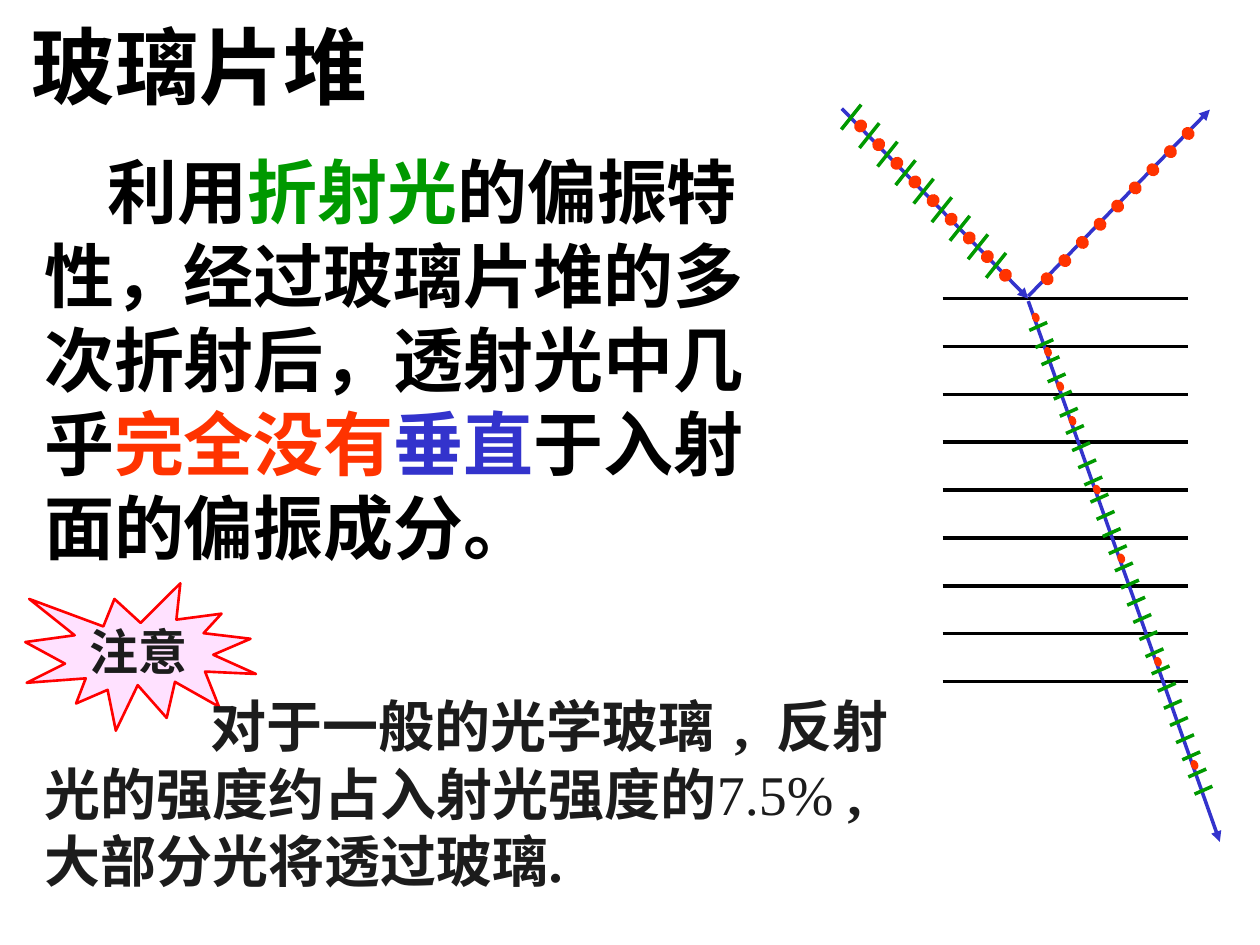
"""Build the slide on polarised light and a pile of glass plates."""
import dataclasses

import lxml.etree
import pptx
import pptx.dml.color
import pptx.enum.shapes
import pptx.enum.text
import pptx.oxml.ns
import pptx.util

Cm = pptx.util.Cm
Pt = pptx.util.Pt
Shape = pptx.enum.shapes.MSO_SHAPE
qn = pptx.oxml.ns.qn


@dataclasses.dataclass(frozen=True)
class Theme:
    """Colours, font and type sizes of the slide."""
    black: str = "000000"
    ink: str = "1C1C1C"
    green: str = "009900"
    orange: str = "FF3300"
    blue: str = "3333CC"
    red: str = "FF0000"
    pink: str = "FFE1FF"
    font: str = "Times New Roman"
    title: int = 48
    body: int = 40
    note: int = 32
    badge: int = 28
    line: float = 2
    edge: float = 1.5


THEME = Theme()


def tint(code):
    """Turn a hex code into a colour."""
    return pptx.dml.color.RGBColor.from_string(code)


def write(frame, runs, size, pad=(0.25, 0.13), indent=0, before=0):
    """Fill a frame with one paragraph of (text, colour, bold, spacing) runs."""
    frame.word_wrap = True
    frame.auto_size = pptx.enum.text.MSO_AUTO_SIZE.SHAPE_TO_FIT_TEXT
    frame.vertical_anchor = pptx.enum.text.MSO_ANCHOR.TOP
    frame.margin_left = frame.margin_right = Cm(pad[0])
    frame.margin_top = frame.margin_bottom = Cm(pad[1])
    para = frame.paragraphs[0]
    para.alignment = pptx.enum.text.PP_ALIGN.LEFT
    para.space_before = Pt(before)
    if indent:
        props = para._p.get_or_add_pPr()
        props.set("marL", "0")
        props.set("indent", str(Cm(indent)))
    for text, code, bold, gap in runs:
        run = para.add_run()
        run.text = text
        run.font.name = THEME.font
        run.font.size = Pt(size)
        run.font.bold = bold
        run.font.color.rgb = tint(code)
        if gap:
            run.font._element.set("spc", str(gap * 100))


def draw_line(group, start, end, code, arrow=False):
    """Draw a straight line, with an arrowhead at its end if asked."""
    line = group.shapes.add_connector(
        pptx.enum.shapes.MSO_CONNECTOR.STRAIGHT,
        Cm(start[0]), Cm(start[1]), Cm(end[0]), Cm(end[1]))
    line.line.color.rgb = tint(code)
    line.line.width = Pt(THEME.line)
    if arrow:
        head = lxml.etree.SubElement(line.line._get_or_add_ln(), qn("a:tailEnd"))
        head.set("type", "triangle")
    lxml.etree.SubElement(line._element.spPr, qn("a:effectLst"))


def draw_dots(group, spots, size, turn):
    """Draw a dot centred on each spot."""
    wide, high = size
    for x, y in spots:
        dot = group.shapes.add_shape(
            Shape.OVAL, Cm(x - wide / 2), Cm(y - high / 2), Cm(wide), Cm(high))
        dot.rotation = turn
        dot.shadow.inherit = False
        dot.fill.solid()
        dot.fill.fore_color.rgb = tint(THEME.orange)
        dot.line.fill.background()


def draw_ticks(group, spots, half):
    """Draw a short stroke across each spot."""
    dx, dy = half
    for x, y in spots:
        draw_line(group, (x + dx, y + dy), (x - dx, y - dy), THEME.green)


def add_optics(slide, left, top):
    """Draw the plates and the three rays from the given corner."""
    group = slide.shapes.add_group_shape()

    def at(x, y):
        """Place a point within the box."""
        return left + x, top + y

    def spread(start, end, count):
        """Space points evenly from start to end."""
        (x, y), (u, v) = at(*start), at(*end)
        last = count - 1
        return [(x + (u - x) * i / last, y + (v - y) * i / last)
                for i in range(count)]

    for x, y in spread((2.03, 3.91), (2.03, 11.63), 9):
        draw_line(group, (x, y), (x + 4.95, y), THEME.black)

    rays = (((0, 0.08), (3.76, 3.91)),
            ((3.76, 3.86), (7.42, 0.1)),
            ((3.76, 3.96), (7.62, 14.86)))
    for start, end in rays:
        draw_line(group, at(*start), at(*end), THEME.blue, arrow=True)

    big, small = (0.25, 0.27), (0.2, 0.15)
    draw_dots(group, spread((0.38, 0.43), (3.3, 3.44), 9), big, 42)
    draw_ticks(group, spread((0.19, 0.25), (3.11, 3.24), 9), (0.2, -0.25))
    draw_dots(group, spread((4.14, 3.51), (6.98, 0.58), 9), big, 138)
    steps = spread((3.91, 4.29), (7.11, 13.31), 27)
    draw_dots(group, [steps[i] for i in (0, 2, 4, 6, 10, 14, 20, 26)], small, 68)
    draw_ticks(group, spread((3.96, 4.47), (7.29, 13.82), 28), (0.18, -0.08))


def add_title(slide, left, top, width, height):
    """Place and format the title."""
    title = slide.shapes.title
    title.left, title.top = Cm(left), Cm(top)
    title.width, title.height = Cm(width), Cm(height)
    write(title.text_frame, [("玻璃片堆", THEME.black, True, 0)],
          THEME.title, pad=(0, 0))


def add_text(host, left, top, width, height, runs, size, **style):
    """Add a text box to a slide or group."""
    box = host.shapes.add_textbox(Cm(left), Cm(top), Cm(width), Cm(height))
    write(box.text_frame, runs, size, **style)


def add_badge(slide, left, top, width, height):
    """Draw the burst with its label."""
    group = slide.shapes.add_group_shape()
    burst = group.shapes.add_shape(
        Shape.EXPLOSION1, Cm(left), Cm(top), Cm(width), Cm(height))
    burst.shadow.inherit = False
    burst.fill.solid()
    burst.fill.fore_color.rgb = tint(THEME.pink)
    burst.line.color.rgb = tint(THEME.red)
    burst.line.width = Pt(THEME.edge)
    add_text(group, left + 1.04, top + 0.64, 5.28, 1.45,
             [("注意", THEME.ink, True, 0)], THEME.badge, before=17.5)


def main():
    """Build and save the slide."""
    deck = pptx.Presentation()
    deck.slide_width, deck.slide_height = Cm(25.4), Cm(19.05)
    slide = deck.slides.add_slide(deck.slide_layouts[5])
    add_optics(slide, 16.97, 2.11)
    add_text(slide, 0.64, 2.87, 15.29, 8.71, [
        ("利用", THEME.black, True, 0),
        ("折射光", THEME.green, True, 0),
        ("的偏振特性，经过玻璃片堆的多次折射后，透射光中几乎", THEME.black, True, 0),
        ("完全没有", THEME.orange, True, 0),
        ("垂直", THEME.blue, True, 0),
        ("于入射面的偏振成分。", THEME.black, True, 0),
    ], THEME.body, indent=1.28)
    add_title(slide, 0.64, 0.3, 8.89, 2.03)
    add_badge(slide, 0.51, 11.76, 4.65, 2.97)
    add_text(slide, 0.64, 13.82, 17.83, 4.32, [
        ("对于一般的光学玻璃", THEME.ink, True, 0),
        (" , ", THEME.ink, True, 4),
        ("反射光的强度约占入射光强度的", THEME.ink, True, 0),
        ("7.5%", THEME.ink, False, 0),
        (" , 大部分光将透过玻璃.", THEME.ink, True, 0),
    ], THEME.note, indent=3.35, before=20)
    deck.save("out.pptx")


if __name__ == "__main__":
    main()
